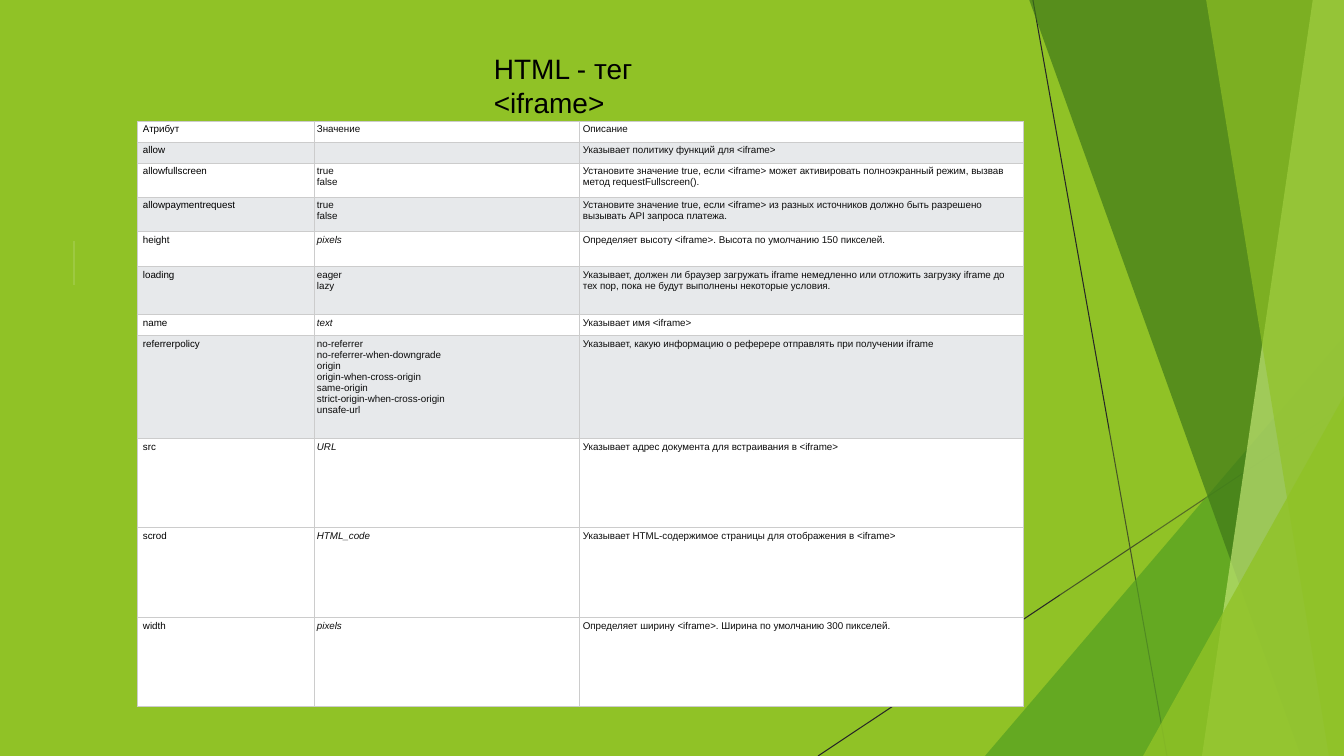
"""Builds a slide listing the attributes of the HTML iframe tag."""
import pptx
import pptx.dml.color
import pptx.enum.shapes
import pptx.enum.text
import pptx.oxml
import pptx.oxml.ns
import pptx.util
import lxml.etree

SLIDE_WIDTH, SLIDE_HEIGHT = 1344, 756
EMU_PER_PX = 12192000 / SLIDE_WIDTH
FONT = "Arial"
GREEN = "90C226"
BLACK = "000000"
WHITE = "FFFFFF"
COLUMN_WIDTHS = [177, 266, 444]
COLUMN_COLORS = [BLACK, "0D0D0D", "0D0D0D"]
ITALIC_VALUES = {"pixels", "text", "URL", "HTML_code"}
SHADED_ATTRIBUTES = {"allow", "allowpaymentrequest", "loading", "referrerpolicy"}
ROWS = [
    (21, "Атрибут", "Значение", "Описание"),
    (21, "allow", "", "Указывает политику функций для <iframe>"),
    (34, "allowfullscreen", "true\nfalse",
     "Установите значение true, если <iframe> может активировать "
     "полноэкранный режим, вызвав метод requestFullscreen()."),
    (35, "allowpaymentrequest", "true\nfalse",
     "Установите значение true, если <iframe> из разных источников "
     "должно быть разрешено вызывать API запроса платежа."),
    (35, "height", "pixels",
     "Определяет высоту <iframe>. Высота по умолчанию 150 пикселей."),
    (48, "loading", "eager\nlazy",
     "Указывает, должен ли браузер загружать iframe немедленно или отложить "
     "загрузку iframe до тех пор, пока не будут выполнены некоторые условия."),
    (21, "name", "text", "Указывает имя <iframe>"),
    (103, "referrerpolicy",
     "no-referrer\nno-referrer-when-downgrade\norigin\n"
     "origin-when-cross-origin\nsame-origin\n"
     "strict-origin-when-cross-origin\nunsafe-url",
     "Указывает, какую информацию о реферере отправлять при получении iframe"),
    (89, "src", "URL", "Указывает адрес документа для встраивания в <iframe>"),
    (90, "scrod", "HTML_code",
     "Указывает HTML-содержимое страницы для отображения в <iframe>"),
    (89, "width", "pixels",
     "Определяет ширину <iframe>. Ширина по умолчанию 300 пикселей."),
]


def px(length):
    """Turn a length in px into EMU."""
    return pptx.util.Emu(round(length * EMU_PER_PX))


def color(value):
    """Turn a hex string into a colour."""
    return pptx.dml.color.RGBColor.from_string(value)


def child(parent, tag, **attributes):
    """Append a DrawingML element to its parent."""
    return lxml.etree.SubElement(parent, pptx.oxml.ns.qn(tag), attributes)


def paint(shape, fill, opacity=100):
    """Give a shape a plain fill without line or shadow."""
    shape.shadow.inherit = False
    shape.line.fill.background()
    shape.fill.solid()
    shape.fill.fore_color.rgb = color(fill)
    if opacity < 100:
        solid = shape._element.spPr.find(pptx.oxml.ns.qn("a:solidFill"))
        child(solid[0], "a:alpha", val=str(opacity * 1000))


def format_run(run, size, font_color, italic=False):
    """Set the font of a run."""
    run.font.name = FONT
    run.font.size = pptx.util.Pt(size)
    run.font.color.rgb = color(font_color)
    run.font.italic = italic


def add_thin_line(slide, start_x, start_y, end_x, end_y):
    """Draw one dark straight line."""
    line = slide.shapes.add_connector(
        pptx.enum.shapes.MSO_CONNECTOR.STRAIGHT,
        px(start_x), px(start_y), px(end_x), px(end_y))
    line.line.color.rgb = color("262626")
    line.line.width = pptx.util.Pt(0.75)
    child(line._element.spPr, "a:effectLst")


def add_band(slide, box, top_x, bottom_x, fill, opacity):
    """Draw a band from a slanted left edge to the right side of the box."""
    left, top, width, height = box
    right, bottom = left + width, top + height
    builder = slide.shapes.build_freeform(left + top_x, top - 1, EMU_PER_PX)
    builder.add_line_segments(
        [(right, top - 1), (right, bottom), (left + bottom_x, bottom)])
    paint(builder.convert_to_shape(), fill, opacity)


def add_corner(slide, box, x, y, fill, opacity):
    """Draw a right triangle in the lower right corner of the box."""
    left, top, width, height = box
    triangle = slide.shapes.add_shape(
        pptx.enum.shapes.MSO_SHAPE.ISOSCELES_TRIANGLE,
        px(left + x), px(top + y), px(width - x), px(height - y))
    triangle.adjustments[0] = 1
    paint(triangle, fill, opacity)


def add_facets(slide, box):
    """Draw the overlapping green facets and their two lines."""
    left, top, width, height = box
    bottom = top + height
    add_thin_line(slide, left + 215, top, left + 349, bottom)
    add_thin_line(slide, left + width, top + 406, left, bottom)
    add_band(slide, box, 420, 194, GREEN, 30)
    add_band(slide, box, 240, 374, GREEN, 20)
    add_corner(slide, box, 167, 336, "54A021", 72)
    add_band(slide, box, 211, 483, "3F7819", 70)
    add_band(slide, box, 495, 384, "C0E474", 70)
    add_band(slide, box, 388, 511, GREEN, 65)
    add_corner(slide, box, 325, 396, GREEN, 80)


def add_marker(slide, box):
    """Draw the hairline at the left side."""
    marker = slide.shapes.add_shape(
        pptx.enum.shapes.MSO_SHAPE.RECTANGLE, *map(px, box))
    paint(marker, WHITE)


def add_title(slide, box):
    """Write the title."""
    frame = slide.shapes.add_textbox(*map(px, box)).text_frame
    frame.word_wrap = True
    frame.auto_size = pptx.enum.text.MSO_AUTO_SIZE.SHAPE_TO_FIT_TEXT
    frame.text = "HTML - тег <iframe>"
    format_run(frame.paragraphs[0].runs[0], 20, BLACK)


def add_borders(cell):
    """Put a thin grey border on each side of a cell."""
    properties = cell._tc.get_or_add_tcPr()
    for index, side in enumerate(("a:lnL", "a:lnR", "a:lnT", "a:lnB")):
        border = pptx.oxml.parse_xml(
            f'<{side} {pptx.oxml.ns.nsdecls("a")} w="9525"><a:solidFill>'
            f'<a:srgbClr val="CCCCCC"/></a:solidFill></{side}>')
        properties.insert(index, border)


def fill_cell(cell, text, fill, font_color, left_margin):
    """Write and format one table cell."""
    cell.fill.solid()
    cell.fill.fore_color.rgb = color(fill)
    add_borders(cell)
    cell.margin_left = px(left_margin)
    cell.margin_right = cell.margin_top = cell.margin_bottom = px(3)
    paragraph = cell.text_frame.paragraphs[0]
    paragraph.text = text
    for run in paragraph.runs:
        format_run(run, 7, font_color, text in ITALIC_VALUES)
    for line_break in paragraph._p.findall(pptx.oxml.ns.qn("a:br")):
        child(line_break, "a:rPr", sz="700")
    if not text:
        child(paragraph._p, "a:endParaRPr", sz="700")


def add_attribute_table(slide, box):
    """Draw the table of attributes."""
    table = slide.shapes.add_table(
        len(ROWS), len(COLUMN_WIDTHS), *map(px, box)).table
    table.first_row = table.horz_banding = False
    for column, width in zip(table.columns, COLUMN_WIDTHS):
        column.width = px(width)
    for row, (height, *texts) in zip(table.rows, ROWS):
        row.height = px(height)
        fill = "E7E9EB" if texts[0] in SHADED_ATTRIBUTES else WHITE
        for index, (cell, text) in enumerate(zip(row.cells, texts)):
            fill_cell(cell, text, fill, COLUMN_COLORS[index], 3 if index else 6)


def main():
    """Build and save the presentation."""
    presentation = pptx.Presentation()
    presentation.slide_width = px(SLIDE_WIDTH)
    presentation.slide_height = px(SLIDE_HEIGHT)
    slide = presentation.slides.add_slide(presentation.slide_layouts[6])
    slide.background.fill.solid()
    slide.background.fill.fore_color.rgb = color(GREEN)
    add_facets(slide, (818, 0, 526, SLIDE_HEIGHT))
    add_marker(slide, (74, 241, 0, 44))
    add_title(slide, (484, 47, 270, 44))
    add_attribute_table(
        slide, (137, 121, sum(COLUMN_WIDTHS), sum(row[0] for row in ROWS)))
    presentation.save("out.pptx")


if __name__ == "__main__":
    main()
